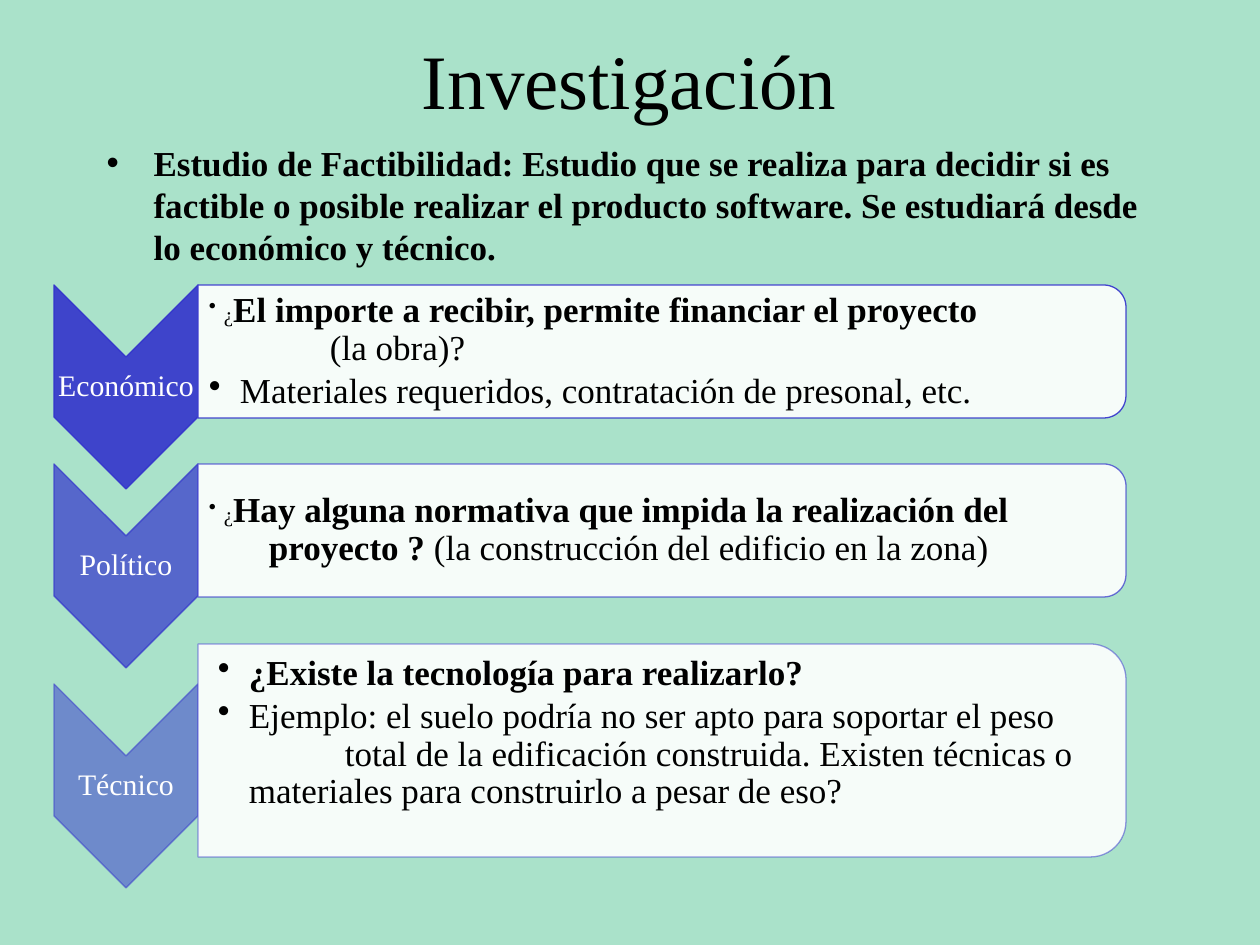
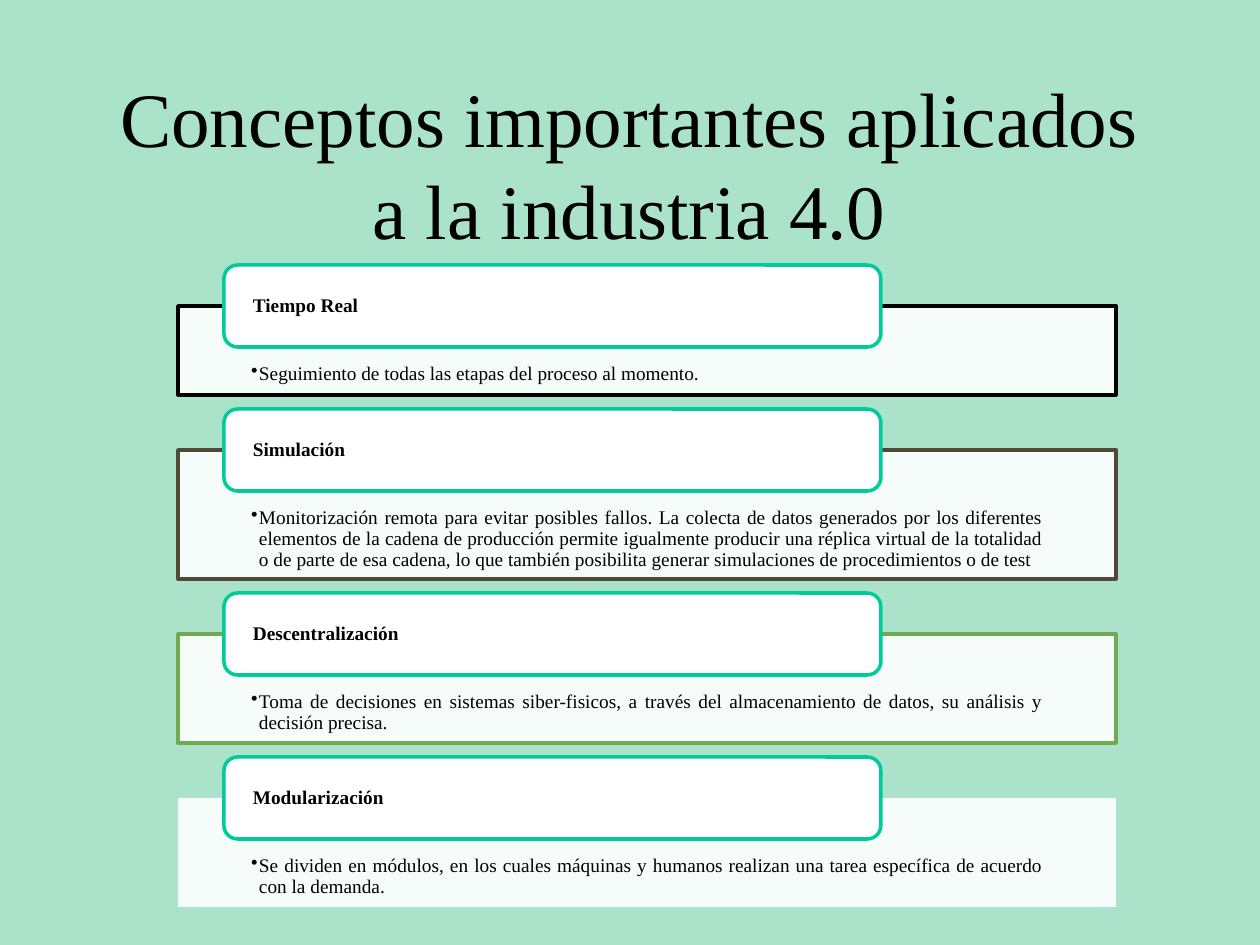
from dataclasses import dataclass

from lxml.etree import SubElement
from pptx import Presentation
from pptx.dml.color import RGBColor
from pptx.enum.shapes import MSO_SHAPE as Preset
from pptx.enum.text import MSO_ANCHOR as Anchor, MSO_AUTO_SIZE as AutoSize, PP_ALIGN as Align
from pptx.oxml.ns import qn
from pptx.util import Pt

PX = 7257


@dataclass(frozen=True)
class Theme:
    font: str = "Times New Roman"
    background: str = "AAE2CA"
    text: str = "000000"
    white: str = "FFFFFF"
    blue: str = "3333CC"
    teal: str = "00CC99"
    frames: tuple = ("000000", "504838", "70AB52", None)
    title: int = 44
    body: int = 20
    label: int = 17
    mark: int = 12
    detail: int = 11


theme = Theme()


def paint(shape, fill, fill_alpha, line, line_alpha, width):
    shape.shadow.inherit = False
    shape.fill.solid()
    shape.fill.fore_color.rgb = RGBColor.from_string(fill)
    if line:
        shape.line.color.rgb = RGBColor.from_string(line)
        shape.line.width = Pt(width)
    else:
        shape.line.fill.background()
    for color_path, alpha in (("a:solidFill", fill_alpha), ("a:ln/a:solidFill", line_alpha)):
        steps = "/".join(qn(step) for step in color_path.split("/"))
        solid = shape.element.spPr.find(steps)
        if solid is not None and alpha < 100:
            SubElement(solid[0], qn("a:alpha"), val=str(alpha * 1000))


def write(paragraph, runs, align=Align.LEFT, color=theme.text, margin=0, indent=0,
          bullet=False, spacing=0.9, after=0):
    paragraph.alignment = align
    paragraph.line_spacing = spacing
    paragraph.space_before = Pt(0)
    paragraph.space_after = Pt(after)
    properties = paragraph._p.get_or_add_pPr()
    properties.set("marL", str(margin * PX))
    properties.set("indent", str(indent * PX))
    if bullet:
        SubElement(properties, qn("a:buChar"), char="•")
    else:
        SubElement(properties, qn("a:buNone"))
    for text, size, bold in runs:
        run = paragraph.add_run()
        run.text = text
        run.font.name = theme.font
        run.font.size = Pt(size)
        run.font.bold = bold
        run.font.color.rgb = RGBColor.from_string(color)


presentation = Presentation()
presentation.slide_width = 1260 * PX
presentation.slide_height = 945 * PX
background = presentation.slide_master.background.fill
background.solid()
background.fore_color.rgb = RGBColor.from_string(theme.background)

slides = []
for layout, title_text, title_top in (
    (1, "Investigación", 0),
    (5, "Conceptos importantes aplicados a la industria 4.0", 84),
):
    slide = presentation.slides.add_slide(presentation.slide_layouts[layout])
    title = slide.shapes.title
    title.left, title.top, title.width, title.height = 94 * PX, title_top * PX, 1071 * PX, 157 * PX
    title.text_frame.auto_size = AutoSize.NONE
    title.text_frame.vertical_anchor = Anchor.MIDDLE
    write(title.text_frame.paragraphs[0], [(title_text, theme.title, False)], Align.CENTER, spacing=1.0)
    slides.append(slide)
research, concepts = slides

body = research.placeholders[1]
body.left, body.top, body.width, body.height = 94 * PX, 135 * PX, 1071 * PX, 567 * PX
body.text_frame.auto_size = AutoSize.NONE
write(
    body.text_frame.paragraphs[0],
    [("Estudio de Factibilidad: Estudio que se realiza para decidir si es factible o posible "
      "realizar el producto software. Se estudiará desde lo económico y técnico.", theme.body, True)],
    margin=47, indent=-47, bullet=True, spacing=1.0,
)

question_mark = ("¿", theme.mark, False)
question = dict(margin=15, indent=-15, bullet=True)
item = dict(margin=31, indent=-31, bullet=True, after=3)

economic = [
    ([question_mark, ("El importe a recibir, permite financiar el proyecto", theme.body, True)], question),
    ([("(la obra)?", theme.body, False)], dict(margin=121, after=3)),
    ([("Materiales requeridos, contratación de presonal, etc.", theme.body, False)], item),
]
political = [
    ([question_mark, ("Hay alguna normativa que impida la realización del", theme.body, True)], question),
    ([("proyecto ? ", theme.body, True),
      ("(la construcción del edificio en la zona)", theme.body, False)], dict(margin=60)),
]
technical = [
    ([("¿Existe la tecnología para realizarlo?", theme.body, True)], item),
    ([("Ejemplo: el suelo podría no ser apto para soportar el peso", theme.body, False)],
     dict(item, after=0)),
    ([("total de la edificación construida. Existen técnicas o materiales para construirlo "
       "a pesar de eso?", theme.body, False)], dict(margin=31, indent=96)),
]

for label, alpha, chevron_top, card_top, card_height, anchor, inset, paragraphs in (
    ("Económico", 90, 285, 285, 133, Anchor.MIDDLE, (11, 1), economic),
    ("Político", 70, 464, 464, 133, Anchor.MIDDLE, (11, 1), political),
    ("Técnico", 50, 684, 644, 213, Anchor.TOP, (20, 11), technical),
):
    for preset, left, top, width, height, fill, fill_alpha in (
        (Preset.CHEVRON, 54, chevron_top, 144, 204, theme.blue, alpha),
        (Preset.ROUND_2_SAME_RECTANGLE, 198, card_top, 928, card_height, theme.white, 90),
    ):
        turn = (width - height) * PX // 2
        shape = research.shapes.add_shape(
            preset, left * PX + turn, top * PX - turn, height * PX, width * PX)
        shape.rotation = 90
        paint(shape, fill, fill_alpha, theme.blue, alpha, 0.75)

    label_box = research.shapes.add_textbox(54 * PX, (chevron_top + 71) * PX, 144 * PX, 62 * PX)
    card_box = research.shapes.add_textbox(198 * PX, card_top * PX, 922 * PX, card_height * PX)
    for box, box_anchor, (side, top) in (
        (label_box, Anchor.MIDDLE, (1, 1)),
        (card_box, anchor, inset),
    ):
        frame = box.text_frame
        frame.word_wrap = True
        frame.vertical_anchor = box_anchor
        frame.margin_left, frame.margin_top = side * PX, top * PX
        frame.margin_right = frame.margin_bottom = PX
    write(label_box.text_frame.paragraphs[0], [(label, theme.label, False)], Align.CENTER, theme.white)
    for index, (runs, layout) in enumerate(paragraphs):
        frame = card_box.text_frame
        paragraph = frame.add_paragraph() if index else frame.paragraphs[0]
        write(paragraph, runs, **layout)

details = (
    ("Tiempo Real", 89, Align.LEFT, "Seguimiento de todas las etapas del proceso al momento."),
    ("Simulación", 129, Align.JUSTIFY,
     "Monitorización remota para evitar posibles fallos. La colecta de datos generados por los "
     "diferentes elementos de la cadena de producción permite igualmente producir una réplica "
     "virtual de la totalidad o de parte de esa cadena, lo que también posibilita generar "
     "simulaciones de procedimientos o de test"),
    ("Descentralización", 109, Align.JUSTIFY,
     "Toma de decisiones en sistemas siber-fisicos, a través del almacenamiento de datos, "
     "su análisis y decisión precisa."),
    ("Modularización", 109, Align.JUSTIFY,
     "Se dividen en módulos, en los cuales máquinas y humanos realizan una tarea específica "
     "de acuerdo con la demanda."),
)
panel_top, panel_gap = 306, 55
for (heading, panel_height, align, detail), frame_color in zip(details, theme.frames):
    panel = concepts.shapes.add_shape(
        Preset.RECTANGLE, 178 * PX, panel_top * PX, 938 * PX, panel_height * PX)
    paint(panel, theme.white, 90, frame_color, 100, 2)
    header = concepts.shapes.add_shape(
        Preset.ROUNDED_RECTANGLE, 224 * PX, (panel_top - 41) * PX, 657 * PX, 82 * PX)
    paint(header, theme.white, 100, theme.teal, 100, 2)
    for shape, anchor, side, top, bottom in (
        (panel, Anchor.TOP, 73, 58, 11),
        (header, Anchor.MIDDLE, 25, 0, 0),
    ):
        frame = shape.text_frame
        frame.word_wrap = True
        frame.vertical_anchor = anchor
        frame.margin_left = frame.margin_right = side * PX
        frame.margin_top, frame.margin_bottom = top * PX, bottom * PX
    write(panel.text_frame.paragraphs[0], [(detail, theme.detail, False)], align,
          margin=8, indent=-8, bullet=True)
    write(header.text_frame.paragraphs[0], [(heading, theme.detail, True)])
    panel_top += panel_height + panel_gap

presentation.save("out.pptx")
